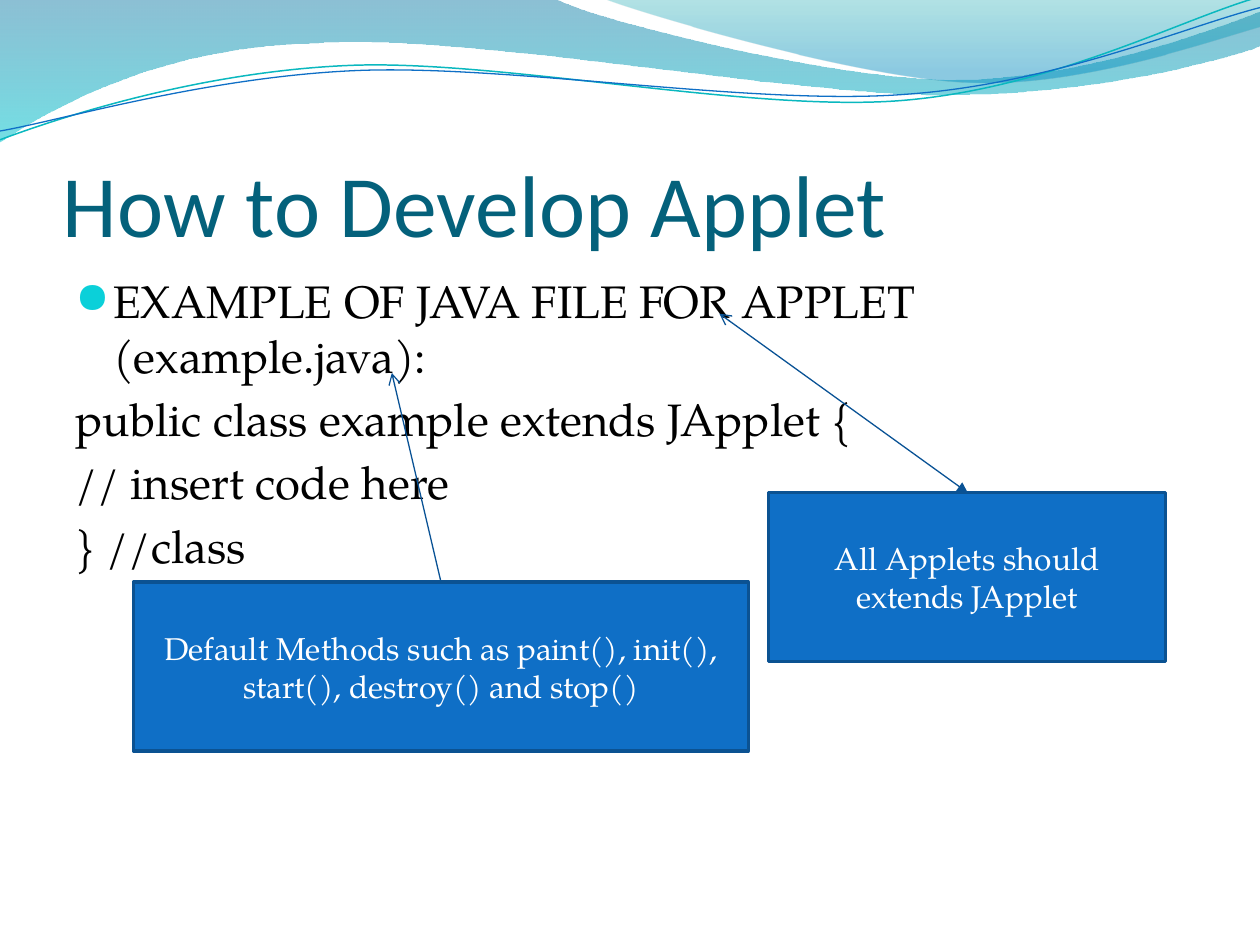
import math

from lxml import etree
from pptx import Presentation
from pptx.dml.color import RGBColor
from pptx.enum import shapes, text
from pptx.oxml.ns import qn
from pptx.util import Inches, Pt

WHITE = RGBColor(0xFF, 0xFF, 0xFF)
BLACK = RGBColor(0, 0, 0)
TITLE_TEAL = RGBColor(0x04, 0x61, 0x7B)
BOX_BLUE = RGBColor(0x0F, 0x6F, 0xC6)
BOX_EDGE = RGBColor(0x0B, 0x52, 0x92)
ARROW_BLUE = RGBColor(0x09, 0x52, 0x95)
CURVE_TEAL = RGBColor(0x0A, 0xB8, 0xBF)
BULLET_COLOR = RGBColor(0x0B, 0xD0, 0xD9)
HEADING_FONT, BODY_FONT, BULLET_FONT = "Calibri", "TeX Gyre Pagella", "OpenSymbol"

# Content
TITLE = "How to Develop Applet"
BULLET_LINE = "EXAMPLE OF JAVA FILE FOR APPLET (example.java):"
CODE_LINES = ["public class example extends JApplet {", "// insert code here", "} //class"]
CALLOUTS = [  # text, (left, top, width, height)
    ("All Applets should extends JApplet", (6.1, 3.91, 3.15, 1.34)),
    ("Default Methods such as paint(), init(), start(), destroy() and stop()",
     (1.06, 4.62, 4.88, 1.34)),
]
ARROWS = [  # start, end, line ends
    ((3.5, 4.62), (3.11, 2.96), {"tailEnd": "arrow"}),
    ((7.68, 3.91), (5.71, 2.49), {"headEnd": "triangle", "tailEnd": "arrow"}),
]

# Header waves: two numbers are a corner, six a Bezier segment
BANDS = [  # box, points, gradient stops as (position, colour, opacity %)
    ((-0.01, -0.01, 10.02, 1.14),
     [(0, 0), (4.4, -0.01), (4.76, 0.17, 6.64, 0.63, 7.58, 0.63),
      (8.53, 0.63, 9.58, 0.26, 10, 0.09), (10.01, 0.36),
      (9.83, 0.44, 8.7, 0.76, 7.46, 0.75), (6.22, 0.75, 3.82, 0.28, 2.57, 0.34),
      (1.29, 0.36, 0.46, 0.83, -0.01, 1.13), (0, 0)],
     [(0, "0074A1", 45), (1, "00C6CF", 55)]),
    ((4.79, -0.01, 5.21, 0.7),
     [(4.79, -0.01), (5.09, 0.11, 6.82, 0.62, 7.69, 0.65),
      (8.56, 0.69, 9.61, 0.32, 10, 0.21), (10, 0), (4.79, -0.01)],
     [(0, "00A1A9", 30), (0.8, "008BBF", 45)]),
]
CURVE_TURN = -2.7  # degrees
CURVES = [  # box before turning, points after turning, colour, width
    ((-0.02, 0.22, 10.02, 0.71),
     [(0, 1.11), (0.48, 0.93, 1.58, 0.57, 2.77, 0.52),
      (3.95, 0.47, 5.93, 0.89, 7.13, 0.8), (8.33, 0.71, 9.38, 0.15, 9.98, -0.02)],
     CURVE_TEAL, 0.85),
    ((-0.02, 0.3, 10.03, 0.58),
     [(0, 1.04), (0.47, 0.96, 1.64, 0.61, 2.83, 0.56),
      (4.03, 0.51, 5.97, 0.84, 7.17, 0.75), (8.36, 0.67, 9.41, 0.21, 10, 0.06)],
     BOX_BLUE, 0.75),
]

prs = Presentation()
prs.slide_width, prs.slide_height = Inches(10), Inches(7.5)
slide = prs.slides.add_slide(prs.slide_layouts[6])


def add_xml(parent, tag, **attributes):
    return etree.SubElement(parent, qn(tag), attributes)


def add_wave(box, points, turn=0, close=False):
    """Add a freeform filling the box, with its outline made of true curves."""
    left, top, width, height = box
    corners = [(left, top), (left + width, top), (left + width, top + height)]
    emu = [(Inches(x), Inches(y)) for x, y in corners]
    builder = slide.shapes.build_freeform(*emu[0], scale=1.0)
    builder.add_line_segments(emu[1:], close=False)
    wave = builder.convert_to_shape()
    wave.shadow.inherit = False
    wave.rotation = turn % 360

    outline = next(wave._element.iter(qn("a:path")))
    for step in list(outline):
        outline.remove(step)
    cos, sin = math.cos(math.radians(-turn)), math.sin(math.radians(-turn))
    for index, point in enumerate(points):
        tag = "a:cubicBezTo" if len(point) == 6 else "a:lnTo" if index else "a:moveTo"
        step = add_xml(outline, tag)
        for x, y in zip(point[::2], point[1::2]):
            dx, dy = x - left - width / 2, y - top - height / 2
            add_xml(step, "a:pt", x=str(Inches(width / 2 + dx * cos - dy * sin)),
                    y=str(Inches(height / 2 + dx * sin + dy * cos)))
    if close:
        add_xml(outline, "a:close")
    return wave


def write(frame, content, font=BODY_FONT, size=18, color=BLACK, align=text.PP_ALIGN.LEFT,
          anchor=text.MSO_ANCHOR.TOP, before=0, first=True):
    """Write one paragraph into a text frame and return it."""
    frame.word_wrap = True
    frame.vertical_anchor = anchor
    paragraph = frame.paragraphs[0] if first else frame.add_paragraph()
    paragraph.alignment = align
    paragraph.space_before = Pt(before)
    run = paragraph.add_run()
    run.text = content
    run.font.name, run.font.size, run.font.color.rgb = font, Pt(size), color
    return paragraph


# Header waves
for box, points, stops in BANDS:
    band = add_wave(box, points, close=True)
    band.line.fill.background()
    band.fill.gradient()
    band.fill.gradient_angle = 270
    for stop, (position, color, _) in zip(band.fill.gradient_stops, stops):
        stop.position = position
        stop.color.rgb = RGBColor.from_string(color)
    stop_colors = band._element.spPr.iter(qn("a:srgbClr"))
    for stop_color, (_, _, opacity) in zip(stop_colors, stops):
        add_xml(stop_color, "a:alpha", val=str(opacity * 1000))

for box, points, color, width in CURVES:
    curve = add_wave(box, points, turn=CURVE_TURN)
    curve.fill.background()
    curve.line.color.rgb, curve.line.width = color, Pt(width)

# Title
title = slide.shapes.add_textbox(*map(Inches, (0.5, 0.77, 9, 1.25))).text_frame
title.margin_left = title.margin_right = title.margin_bottom = 0
write(title, TITLE, font=HEADING_FONT, size=50, color=TITLE_TEAL,
      anchor=text.MSO_ANCHOR.BOTTOM)

# Body: hanging indent throughout, bullet on the first line only
body = slide.shapes.add_textbox(*map(Inches, (0.5, 2.12, 9, 4.8))).text_frame
for index, line in enumerate([BULLET_LINE, *CODE_LINES]):
    paragraph = write(body, line, size=26, before=5, first=index == 0)
    props = paragraph._p.get_or_add_pPr()
    props.set("marL", str(Inches(0.3)))
    props.set("indent", str(-Inches(0.3)))
    if index == 0:
        add_xml(add_xml(props, "a:buClr"), "a:srgbClr", val=str(BULLET_COLOR))
        add_xml(props, "a:buSzPct", val="95000")
        add_xml(props, "a:buFont", typeface=BULLET_FONT)
        add_xml(props, "a:buChar", char="●")

# Callout boxes
for content, place in CALLOUTS:
    callout = slide.shapes.add_shape(shapes.MSO_SHAPE.RECTANGLE, *map(Inches, place))
    callout.shadow.inherit = False
    callout.fill.solid()
    callout.fill.fore_color.rgb = BOX_BLUE
    callout.line.color.rgb, callout.line.width = BOX_EDGE, Pt(2)
    write(callout.text_frame, content, color=WHITE, align=text.PP_ALIGN.CENTER,
          anchor=text.MSO_ANCHOR.MIDDLE)

# Arrows from the callouts to the code
for start, end, line_ends in ARROWS:
    arrow = slide.shapes.add_connector(shapes.MSO_CONNECTOR.STRAIGHT,
                                       *map(Inches, start + end))
    arrow.line.color.rgb, arrow.line.width = ARROW_BLUE, Pt(0.75)
    props = arrow._element.spPr
    for tag, kind in line_ends.items():
        add_xml(props.find(qn("a:ln")), f"a:{tag}", type=kind)
    add_xml(props, "a:effectLst")

prs.save("out.pptx")
